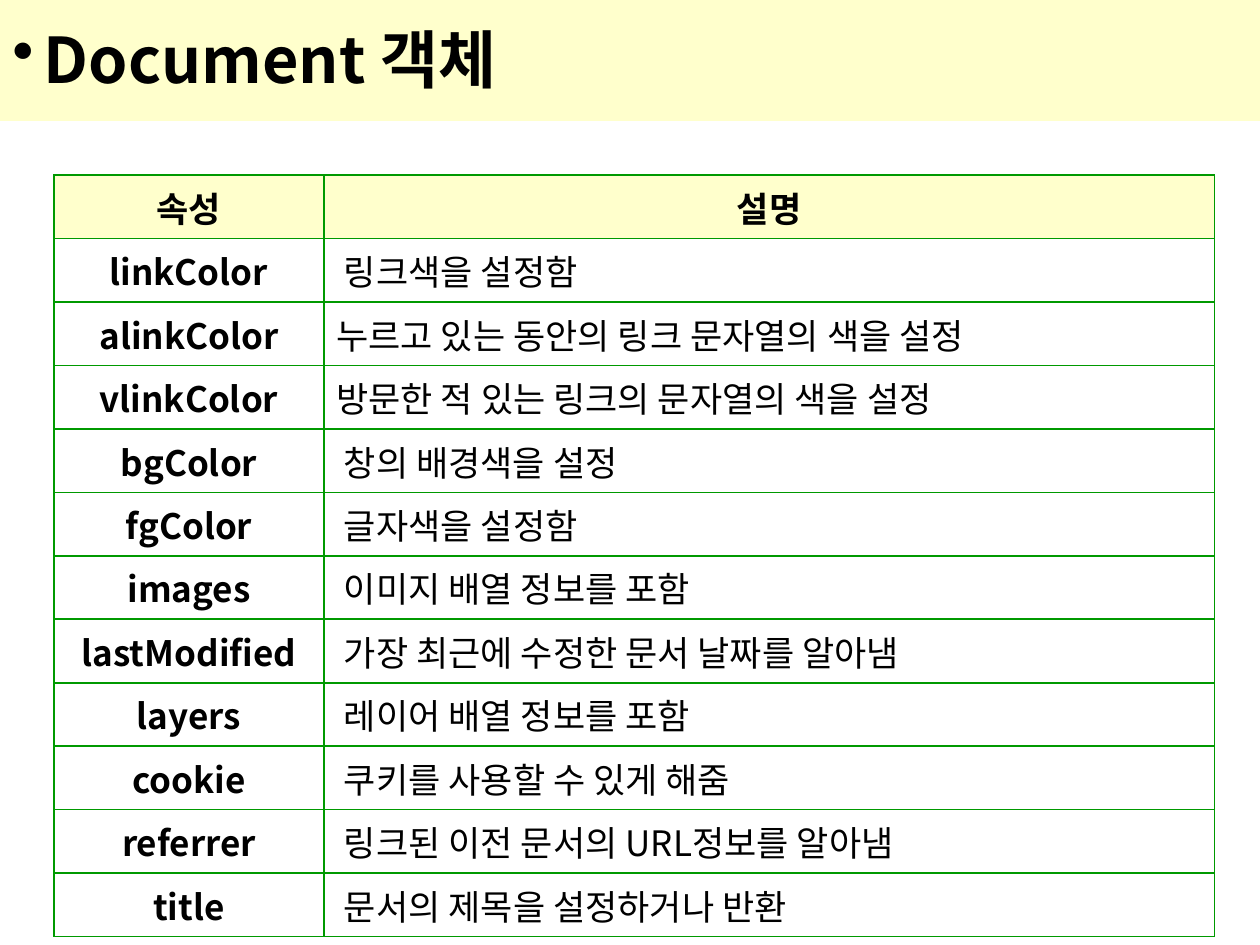
from lxml.etree import SubElement as Sub
from pptx import Presentation
from pptx.dml.color import RGBColor
from pptx.enum.shapes import MSO_SHAPE as Shape
from pptx.enum.text import MSO_ANCHOR as Anchor, PP_ALIGN as Align
from pptx.oxml.ns import qn
from pptx.util import Inches, Pt

BLACK = RGBColor(0, 0, 0)
CREAM = RGBColor(0xFF, 0xFF, 0xCC)
GREEN = RGBColor(0, 0x99, 0)
FONT = "Noto Sans CJK KR"

ROWS = [
    ("속성", "설명", 0),
    ("linkColor", "링크색을 설정함", 0.06),
    ("alinkColor", "누르고 있는 동안의 링크 문자열의 색을 설정", 0),
    ("vlinkColor", "방문한 적 있는 링크의 문자열의 색을 설정", 0),
    ("bgColor", "창의 배경색을 설정", 0.06),
    ("fgColor", "글자색을 설정함", 0.06),
    ("images", "이미지 배열 정보를 포함", 0.06),
    ("lastModified", "가장 최근에 수정한 문서 날짜를 알아냄", 0.06),
    ("layers", "레이어 배열 정보를 포함", 0.06),
    ("cookie", "쿠키를 사용할 수 있게 해줌", 0.06),
    ("referrer", "링크된 이전 문서의 URL정보를 알아냄", 0.06),
    ("title", "문서의 제목을 설정하거나 반환", 0.06),
]


def style(para, size, bold, align):
    para.alignment = align
    font = para.runs[0].font
    font.size = Pt(size)
    font.bold = bold
    font.color.rgb = BLACK
    font.name = FONT
    Sub(para.runs[0]._r.get_or_add_rPr(), qn("a:ea"), typeface=FONT)


def frame(cell):
    props = cell._tc.get_or_add_tcPr()
    for side in ("lnL", "lnR", "lnT", "lnB"):
        line = Sub(props, qn(f"a:{side}"), w=str(Pt(1.08)))
        Sub(Sub(line, qn("a:solidFill")), qn("a:srgbClr"), val=str(GREEN))


deck = Presentation()
deck.slide_width, deck.slide_height = Inches(10), Inches(7.5)
slide = deck.slides.add_slide(deck.slide_layouts[6])

title = slide.shapes.add_shape(
    Shape.RECTANGLE, Inches(0), Inches(-0.03), Inches(10), Inches(0.99))
title.shadow.inherit = False
title.fill.solid()
title.fill.fore_color.rgb = CREAM
title.line.fill.background()
title.text_frame.word_wrap = True
title.text_frame.vertical_anchor = Anchor.MIDDLE
title.text_frame.text = "Document 객체"
head = title.text_frame.paragraphs[0]
props = head._p.get_or_add_pPr()
props.set("marL", str(Inches(0.25)))
props.set("indent", str(Inches(-0.25)))
Sub(Sub(props, qn("a:buClr")), qn("a:srgbClr"), val=str(BLACK))
Sub(props, qn("a:buChar"), char="•")
style(head, 36, True, Align.LEFT)

table = slide.shapes.add_table(
    len(ROWS), 2, Inches(0.43), Inches(1.39), Inches(9.21), Inches(5.23)).table
table.columns[0].width = Inches(2.14)
table.columns[1].width = Inches(7.07)

for row, (name, note, indent) in enumerate(ROWS):
    table.rows[row].height = Inches(0.44)
    for col, text in enumerate((name, note)):
        cell = table.cell(row, col)
        label = row == 0 or col == 0
        cell.text_frame.text = text
        cell.vertical_anchor = Anchor.MIDDLE
        cell.margin_left = Inches(0.1 + indent * col)
        cell.margin_right = Inches(0.1)
        cell.margin_top = cell.margin_bottom = Inches(0.05)
        style(cell.text_frame.paragraphs[0], 20, label,
              Align.CENTER if label else Align.LEFT)
        frame(cell)
        if row == 0:
            cell.fill.solid()
            cell.fill.fore_color.rgb = CREAM
        else:
            cell.fill.background()

deck.save("out.pptx")
